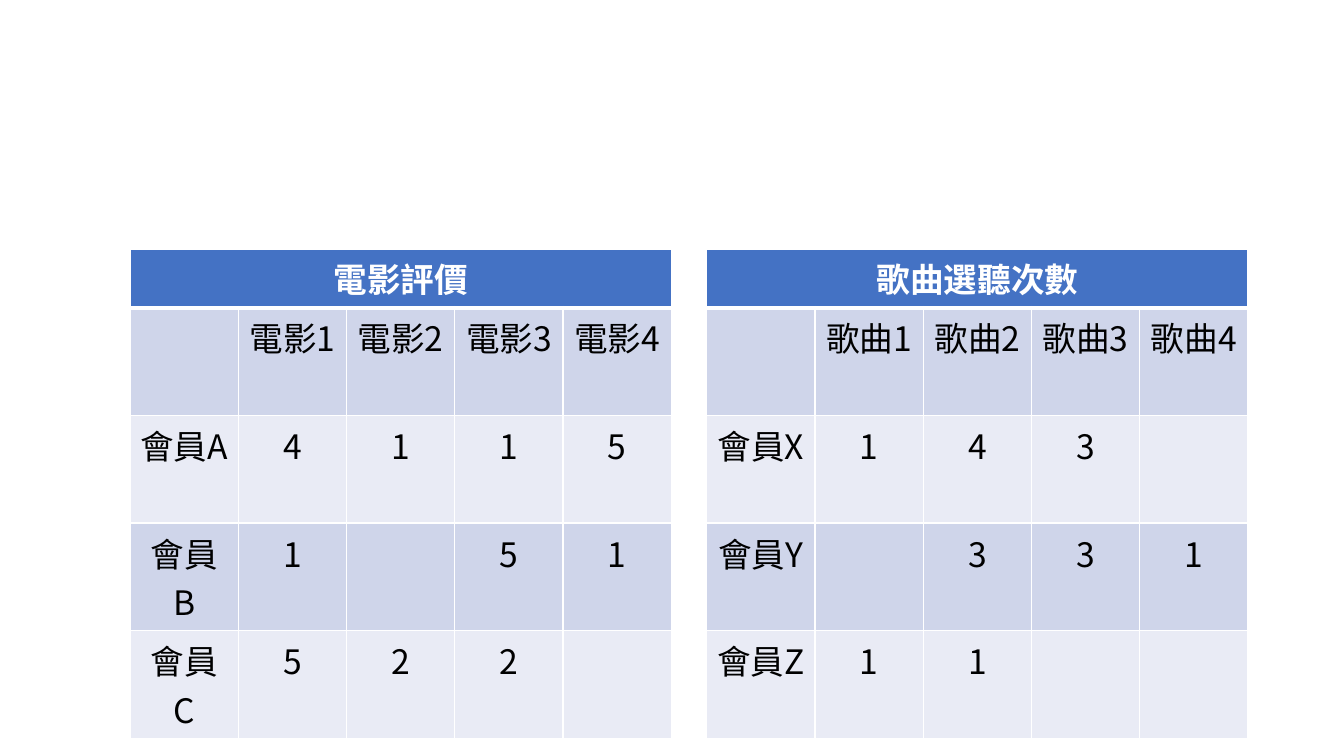
from pptx import Presentation
from pptx.dml.color import RGBColor
from pptx.enum.text import PP_ALIGN
from pptx.oxml import parse_xml
from pptx.oxml.ns import nsdecls
from pptx.util import Inches, Pt

HUES = {"head": "4472C4", "dark": "CFD5EA", "light": "E9EBF5",
        "white": "FFFFFF", "black": "000000"}
FONT = "Noto Sans CJK JP"


class Deck:
    def __init__(self, slide):
        self.slide = slide
        self.size = Pt(24)

    def label(self, cell, text, hue, bold):
        para = cell.text_frame.paragraphs[0]
        para.alignment = PP_ALIGN.CENTER
        run = para.add_run()
        run.text = text
        font = run.font
        font.size = self.size
        font.bold = bold
        font.color.rgb = RGBColor.from_string(HUES[hue])
        font.name = FONT
        font._element.append(parse_xml(
            f'<a:ea {nsdecls("a")} typeface="{FONT}"/>'))

    def border(self, cell, sides):
        props = cell._tc.get_or_add_tcPr()
        for spot, (side, width) in enumerate(sides.items()):
            props.insert(spot, parse_xml(
                f'<a:ln{side} {nsdecls("a")} w="{Pt(width)}"><a:solidFill>'
                f'<a:srgbClr val="{HUES["white"]}"/></a:solidFill></a:ln{side}>'))

    def table(self, left, top, width, height, title, rows):
        count = len(rows[0])
        frame = self.slide.shapes.add_table(
            len(rows) + 1, count, Inches(left), Inches(top),
            Inches(width), Inches(height))
        grid = frame.table
        grid.cell(0, 0).merge(grid.cell(0, count - 1))
        for y, row in enumerate([[title] + [""] * (count - 1)] + rows):
            hue = "head" if y == 0 else "dark" if y % 2 else "light"
            for x, text in enumerate(row):
                cell = grid.cell(y, x)
                cell.fill.solid()
                cell.fill.fore_color.rgb = RGBColor.from_string(HUES[hue])
                self.border(cell, {"L": 1, "R": 1, "T": 1, "B": 1 if y else 3})
                if text:
                    self.label(cell, text, "black" if y else "white", y == 0)


def main():
    show = Presentation()
    show.slide_width = Inches(13.33)
    show.slide_height = Inches(7.5)
    deck = Deck(show.slides.add_slide(show.slide_layouts[6]))
    films = [["", "電影1", "電影2", "電影3", "電影4"],
             ["會員A", "4", "1", "1", "5"],
             ["會員B", "1", "", "5", "1"],
             ["會員C", "5", "2", "2", ""]]
    songs = [["", "歌曲1", "歌曲2", "歌曲3", "歌曲4"],
             ["會員X", "1", "4", "3", ""],
             ["會員Y", "", "3", "3", "1"],
             ["會員Z", "1", "1", "", ""]]
    for left, title, rows in ((1.29, "電影評價", films),
                              (7.01, "歌曲選聽次數", songs)):
        deck.table(left, 2.47, 5.37, 2.76, title, rows)
    show.save("out.pptx")


if __name__ == "__main__":
    main()
